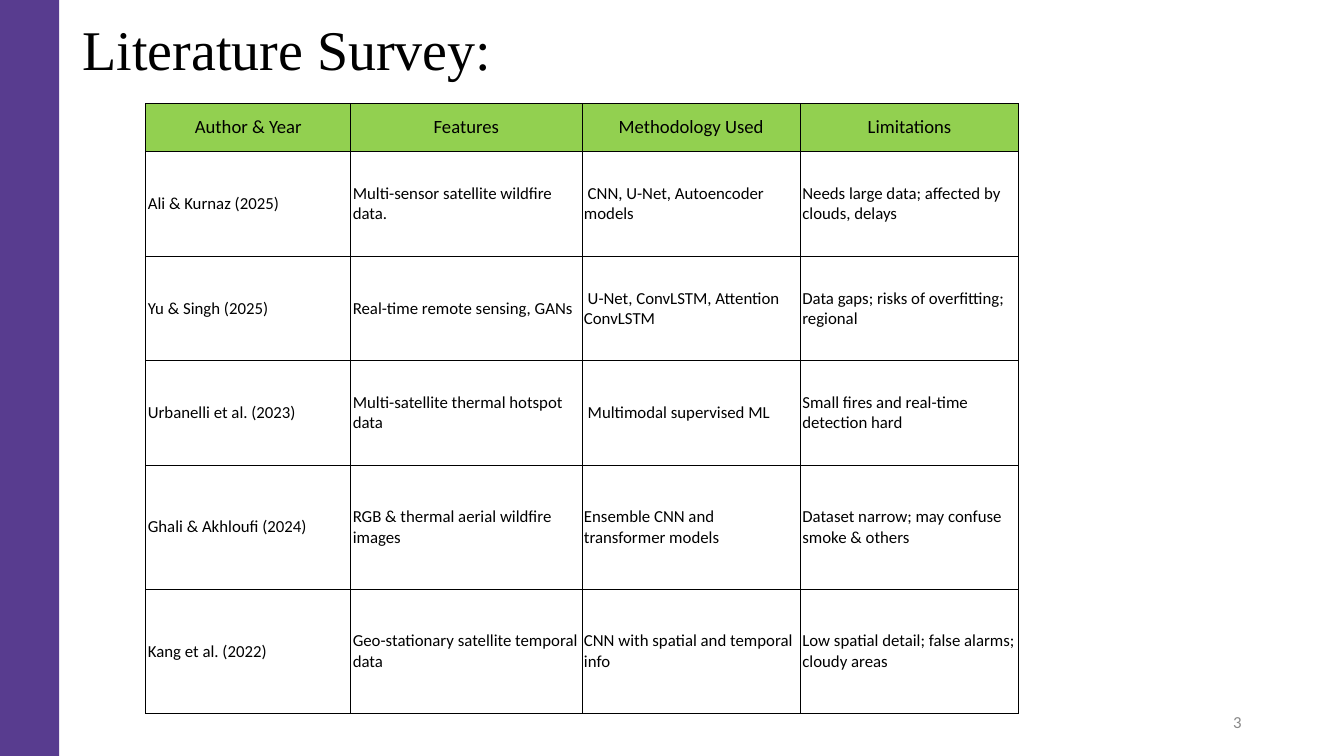
import pptx
import pptx.dml.color
import pptx.enum.shapes
import pptx.enum.text
import pptx.oxml
import pptx.oxml.ns
import pptx.util

WIDTH, HEIGHT = 20, 11.25
TITLE = "Literature Survey:"
PAGE_NUMBER = "3"
HEADERS = ["Author & Year", "Features", "Methodology Used", "Limitations"]
STUDIES = [
    ("Ali & Kurnaz (2025)", "Multi-sensor satellite wildfire data.",
     " CNN, U-Net, Autoencoder models", "Needs large data; affected by clouds, delays"),
    ("Yu & Singh (2025)", "Real-time remote sensing, GANs",
     " U-Net, ConvLSTM, Attention ConvLSTM", "Data gaps; risks of overfitting; regional"),
    ("Urbanelli et al. (2023)", "Multi-satellite thermal hotspot data",
     " Multimodal supervised ML", "Small fires and real-time detection hard"),
    ("Ghali & Akhloufi (2024)", "RGB & thermal aerial wildfire images",
     "Ensemble CNN and transformer models", "Dataset narrow; may confuse smoke & others"),
    ("Kang et al. (2022)", "Geo-stationary satellite temporal data",
     "CNN with spatial and temporal info", "Low spatial detail; false alarms; cloudy areas"),
]
COLUMN_WIDTHS = [3.05, 3.44, 3.25, 3.25]
ROW_HEIGHTS = [0.71, 1.57, 1.55, 1.55, 1.85, 1.85]
TABLE_LEFT, TABLE_TOP = 2.17, 1.54

PURPLE, GREEN, BLACK, GRAY = "583C8F", "92D050", "000000", "888888"
ALIGN = pptx.enum.text.PP_ALIGN
ANCHOR = pptx.enum.text.MSO_ANCHOR


def color(value):
    return pptx.dml.color.RGBColor.from_string(value)


def inches(*values):
    return [pptx.util.Inches(value) for value in values]


def place(shape, *box):
    shape.left, shape.top, shape.width, shape.height = inches(*box)


def set_margins(target, horizontal, top, bottom):
    target.margin_left, target.margin_right = inches(horizontal, horizontal)
    target.margin_top, target.margin_bottom = inches(top, bottom)


def write(text_frame, text, size, font_name, font_color, alignment=ALIGN.LEFT):
    text_frame.text = text
    paragraph = text_frame.paragraphs[0]
    paragraph.alignment = alignment
    font = paragraph.runs[0].font
    font.size = pptx.util.Pt(size)
    font.name = font_name
    font.color.rgb = color(font_color)
    return paragraph


def add_borders(cell):
    properties = cell._tc.get_or_add_tcPr()
    for index, side in enumerate(("lnL", "lnR", "lnT", "lnB")):
        properties.insert(index, pptx.oxml.parse_xml(
            f'<a:{side} {pptx.oxml.ns.nsdecls("a")} w="12700"><a:solidFill>'
            f'<a:srgbClr val="{BLACK}"/></a:solidFill></a:{side}>'))


def add_band(slide):
    band = slide.shapes.add_shape(
        pptx.enum.shapes.MSO_SHAPE.RECTANGLE, *inches(0, 0, 0.88, HEIGHT))
    band.shadow.inherit = False
    band.fill.solid()
    band.fill.fore_color.rgb = color(PURPLE)
    band.line.fill.background()


def add_title(slide):
    title = slide.shapes.title
    place(title, 1.23, 0.2, 6.81, 1.02)
    text_frame = title.text_frame
    set_margins(text_frame, 0, 0.01, 0)
    text_frame.vertical_anchor = ANCHOR.TOP
    text_frame.auto_size = pptx.enum.text.MSO_AUTO_SIZE.NONE
    paragraph = write(text_frame, TITLE, 60, "Times New Roman", BLACK)
    paragraph.space_before = pptx.util.Pt(1)


def add_page_number(slide):
    text_frame = slide.shapes.add_textbox(*inches(18.35, 10.64, 0.15, 0.25)).text_frame
    text_frame.word_wrap = True
    set_margins(text_frame, 0, 0, 0)
    paragraph = write(text_frame, PAGE_NUMBER, 18, "Calibri", GRAY)
    paragraph.line_spacing = pptx.util.Pt(18.1)


def add_survey_table(slide):
    rows = [HEADERS, *STUDIES]
    table = slide.shapes.add_table(
        len(rows), len(HEADERS),
        *inches(TABLE_LEFT, TABLE_TOP, sum(COLUMN_WIDTHS), sum(ROW_HEIGHTS))).table
    table.first_row = table.horz_banding = False
    for column, width in zip(table.columns, COLUMN_WIDTHS):
        column.width = pptx.util.Inches(width)
    for row, height, texts in zip(table.rows, ROW_HEIGHTS, rows):
        row.height = pptx.util.Inches(height)
        is_header = texts is HEADERS
        for cell, text in zip(row.cells, texts):
            set_margins(cell, 0.03, 0.01, 0.01)
            cell.vertical_anchor = ANCHOR.MIDDLE
            write(cell.text_frame, text, 20 if is_header else 18, "Calibri", BLACK,
                  ALIGN.CENTER if is_header else ALIGN.LEFT)
            if is_header:
                cell.fill.solid()
                cell.fill.fore_color.rgb = color(GREEN)
            else:
                cell.fill.background()
            add_borders(cell)


def main():
    presentation = pptx.Presentation()
    presentation.slide_width, presentation.slide_height = inches(WIDTH, HEIGHT)
    slide = presentation.slides.add_slide(presentation.slide_layouts[5])
    add_band(slide)
    add_title(slide)
    add_page_number(slide)
    add_survey_table(slide)
    presentation.save("out.pptx")


if __name__ == "__main__":
    main()
